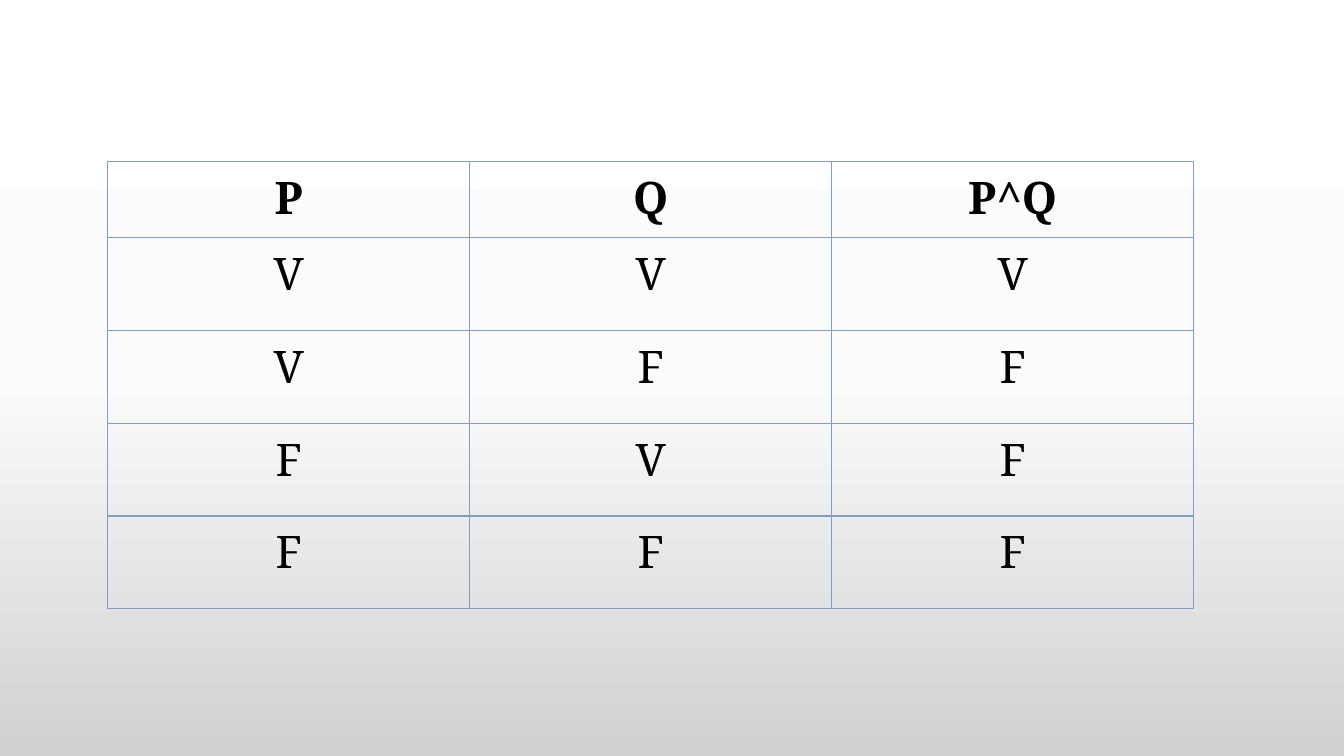
from copy import deepcopy
from typing import NamedTuple

from lxml.etree import SubElement
from pptx import Presentation
from pptx.dml.color import RGBColor
from pptx.enum.text import PP_ALIGN as Align
from pptx.oxml.ns import qn
from pptx.slide import Slide
from pptx.table import Table, _Cell as Cell
from pptx.util import Inches, Pt

COLORS = {"text": "000000", "border": "809EC2",
          "top": "FFFFFF", "middle": "FBFBFB", "bottom": "D1D1D1"}
FONT = "Noto Serif"
COLUMN_WIDTH = Inches(3.59)


class TruthRow(NamedTuple):
    values: tuple[str, str, str]
    height: float = 0.92
    bold: bool = False


class Shade(NamedTuple):
    position: float
    color: str


TRUTH_ROWS = [
    TruthRow(("P", "Q", "P^Q"), height=0.76, bold=True),
    TruthRow(("V", "V", "V")),
    TruthRow(("V", "F", "F")),
    TruthRow(("F", "V", "F")),
    TruthRow(("F", "F", "F")),
]
SHADES = [Shade(0, "top"), Shade(0.5, "middle"), Shade(1, "bottom")]


def paint_background(slide: Slide) -> None:
    fill = slide.background.fill
    fill.gradient()
    fill.gradient_angle = 270
    # The default gradient has two stops; add the middle one
    stops = slide.element.find(".//" + qn("a:gsLst"))
    stops.insert(1, deepcopy(stops[0]))
    for stop, shade in zip(fill.gradient_stops, SHADES):
        stop.position = shade.position
        stop.color.rgb = RGBColor.from_string(COLORS[shade.color])


def add_borders(cell: Cell) -> None:
    properties = cell._tc.get_or_add_tcPr()
    for side in ("lnL", "lnR", "lnT", "lnB"):
        line = SubElement(properties, qn(f"a:{side}"), w=str(Pt(1)))
        solid = SubElement(line, qn("a:solidFill"))
        SubElement(solid, qn("a:srgbClr"), val=COLORS["border"])


def fill_row(table: Table, index: int, row: TruthRow) -> None:
    table.rows[index].height = Inches(row.height)
    for column, value in enumerate(row.values):
        cell = table.cell(index, column)
        add_borders(cell)
        cell.fill.background()
        cell.text = value
        paragraph = cell.text_frame.paragraphs[0]
        paragraph.alignment = Align.CENTER
        font = paragraph.font
        font.name, font.size, font.bold = FONT, Pt(32), row.bold
        font.color.rgb = RGBColor.from_string(COLORS["text"])


# Slide
deck = Presentation()
deck.slide_width, deck.slide_height = Inches(13.33), Inches(7.5)
slide = deck.slides.add_slide(deck.slide_layouts[6])
paint_background(slide)

# Truth table of the conjunction
column_count = len(TRUTH_ROWS[0].values)
truth_table = slide.shapes.add_table(
    len(TRUTH_ROWS), column_count, Inches(1.07), Inches(1.6),
    COLUMN_WIDTH * column_count, Inches(sum(row.height for row in TRUTH_ROWS)),
).table
truth_table.first_row = truth_table.horz_banding = False
for column in truth_table.columns:
    column.width = COLUMN_WIDTH
for index, row in enumerate(TRUTH_ROWS):
    fill_row(truth_table, index, row)

deck.save("out.pptx")
